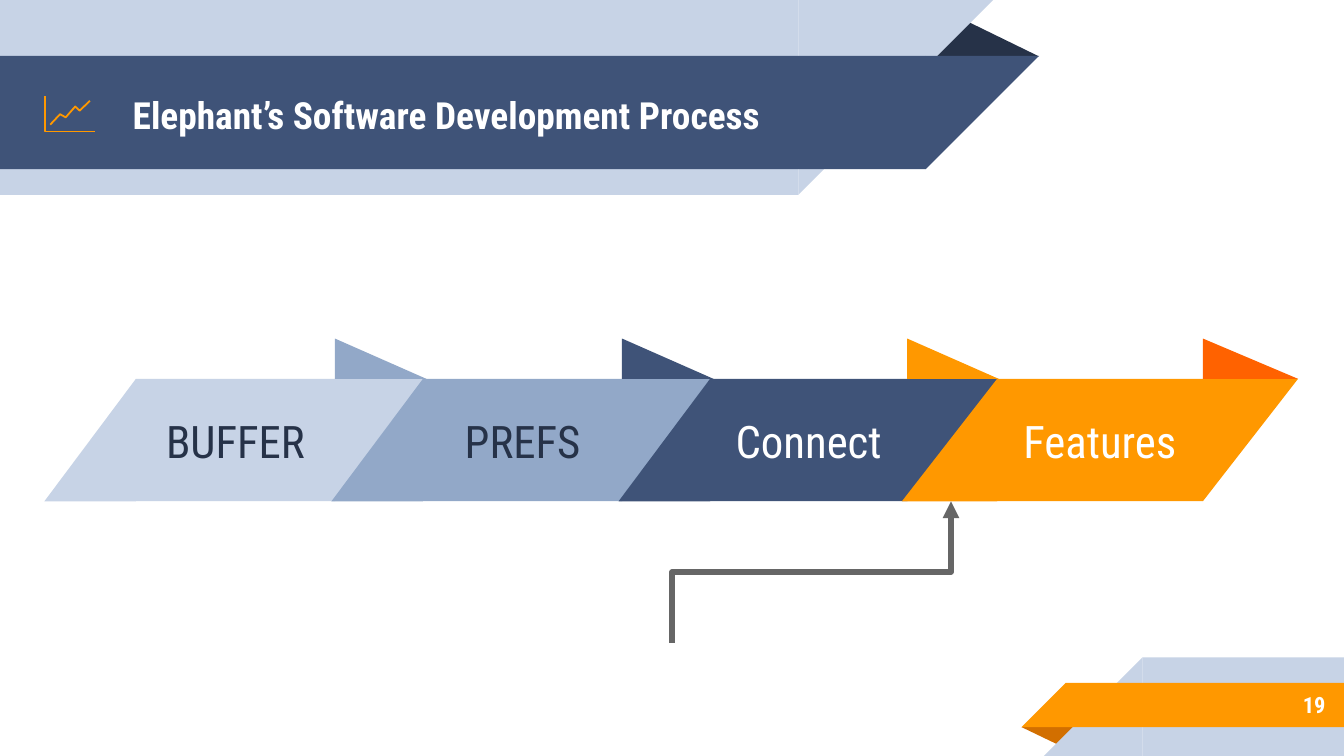
from dataclasses import dataclass
from typing import Any

from lxml.etree import SubElement
from pptx import Presentation
from pptx.dml.color import RGBColor
from pptx.enum.shapes import MSO_CONNECTOR, MSO_SHAPE
from pptx.enum.text import MSO_ANCHOR, PP_ALIGN
from pptx.oxml.ns import qn
from pptx.util import Pt

FONT = "Roboto Condensed"
PALE, BLUE, NAVY, INK = "C7D3E6", "92A8C8", "3F5378", "263248"
ORANGE, RUST, FLAME = "FF9800", "D26F00", "FF6200"
WHITE, GREY = "FFFFFF", "666666"
BAND_TOP, BAND_HEIGHT, FLAG_HEIGHT = 203, 65.6, 21.6
FIRST_LEFT, PITCH = 72.8, 153.8


@dataclass(frozen=True)
class Frame:
    left: float
    top: float
    width: float
    height: float


@dataclass(frozen=True)
class Stage:
    label: str
    fill: str
    ink: str
    flag: str
    width: float
    slant: float


STAGES = [
    Stage("BUFFER", PALE, INK, BLUE, 106.6, 49),
    Stage("PREFS", BLUE, INK, NAVY, 106.6, 49),
    Stage("Connect", NAVY, WHITE, ORANGE, 105.6, 49),
    Stage("Features", ORANGE, WHITE, FLAME, 110.2, 51),
]
ICON_LINES = [
    [(24.2, 51.5), (24.2, 70.5), (50.7, 70.5)],
    [(26.9, 66.8), (32.2, 61.2), (35.2, 62.9), (40.3, 57.1), (42.7, 59.3), (48.2, 54)],
]


def paint(target: Any, color: str) -> None:
    """Give a fill a solid colour."""
    target.solid()
    target.fore_color.rgb = RGBColor.from_string(color)


def add_block(page: Any, kind: Any, frame: Frame, color: str, flip: str = "",
              apex: float | None = None, rotation: float = 0) -> Any:
    """Draw a flat preset shape without outline or shadow."""
    block = page.shapes.add_shape(
        kind, Pt(frame.left), Pt(frame.top), Pt(frame.width), Pt(frame.height))
    block.shadow.inherit = False
    block.line.fill.background()
    paint(block.fill, color)
    block.rotation = rotation
    if apex is not None:
        block.adjustments[0] = apex
    if flip:
        block._element.spPr.find(qn("a:xfrm")).set(flip, "1")
    return block


def write(box: Any, text: str, size: float, color: str, align: Any, bold: bool = False) -> None:
    """Put one middle-anchored line of text into a box."""
    frame = box.text_frame
    frame.word_wrap = True
    frame.vertical_anchor = MSO_ANCHOR.MIDDLE
    frame.margin_left = frame.margin_right = Pt(7.2)
    frame.margin_top = frame.margin_bottom = Pt(7.2)
    para = frame.paragraphs[0]
    para.alignment = align
    span = para.add_run()
    span.text = text
    span.font.name, span.font.size, span.font.bold = FONT, Pt(size), bold
    paint(span.font.fill, color)


def add_label(page: Any, frame: Frame, text: str, size: float, align: Any) -> None:
    """Add a bold white text box."""
    box = page.shapes.add_textbox(
        Pt(frame.left), Pt(frame.top), Pt(frame.width), Pt(frame.height))
    write(box, text, size, WHITE, align, bold=True)


def add_right_ribbon(page: Any, frame: Frame, slant: float, color: str) -> Any:
    """Draw a bar whose right end slants inward to the bottom and return the bar."""
    bar = add_block(page, MSO_SHAPE.RECTANGLE, frame, color)
    add_block(page, MSO_SHAPE.RIGHT_TRIANGLE,
              Frame(frame.left + frame.width, frame.top, slant, frame.height), color, "flipV")
    return bar


def add_left_slant(page: Any, frame: Frame, slant: float, color: str) -> None:
    """Draw the slanted left end of a bar."""
    add_block(page, MSO_SHAPE.RIGHT_TRIANGLE,
              Frame(frame.left - slant, frame.top, slant, frame.height), color, "flipH")


def add_left_ribbon(page: Any, frame: Frame, slant: float, color: str) -> None:
    """Draw a bar with a slanted left end."""
    add_block(page, MSO_SHAPE.RECTANGLE, frame, color)
    add_left_slant(page, frame, slant, color)


def add_stage(page: Any, stage: Stage, left: float) -> None:
    """Draw one process stage with its folded flag."""
    frame = Frame(left, BAND_TOP, stage.width, BAND_HEIGHT)
    bar = add_right_ribbon(page, frame, stage.slant, stage.fill)
    write(bar, stage.label, 24, stage.ink, PP_ALIGN.CENTER)
    add_left_slant(page, frame, stage.slant, stage.fill)
    flag = Frame(left + stage.width, BAND_TOP - FLAG_HEIGHT, stage.slant, FLAG_HEIGHT)
    add_block(page, MSO_SHAPE.ISOSCELES_TRIANGLE, flag, stage.flag, apex=0)


def add_icon_line(page: Any, points: list[tuple[float, float]]) -> None:
    """Draw an open orange line through the points."""
    start, *others = [(Pt(x), Pt(y)) for x, y in points]
    builder = page.shapes.build_freeform(*start)
    builder.add_line_segments(others, close=False)
    trace = builder.convert_to_shape()
    trace.shadow.inherit = False
    trace.fill.background()
    trace.line.width = Pt(0.96)
    paint(trace.line.fill, ORANGE)


def add_elbow_arrow(page: Any, start: tuple[float, float], end: tuple[float, float]) -> None:
    """Draw an elbow arrow that leaves upward, turns right and ends upward."""
    across, rise = end[0] - start[0], start[1] - end[1]
    left = (start[0] + end[0] - rise) / 2
    top = (start[1] + end[1] - across) / 2
    arrow = page.shapes.add_connector(
        MSO_CONNECTOR.ELBOW, Pt(left), Pt(top), Pt(left + rise), Pt(top + across))
    arrow.line.width = Pt(3)
    paint(arrow.line.fill, GREY)
    properties = arrow._element.spPr
    properties.find(qn("a:xfrm")).set("rot", str(270 * 60000))
    SubElement(properties.find(qn("a:ln")), qn("a:tailEnd"), type="triangle")
    SubElement(properties, qn("a:effectLst"))


def main() -> None:
    """Build and save the deck."""
    deck = Presentation()
    deck.slide_width, deck.slide_height = Pt(720), Pt(405)
    page = deck.slides.add_slide(deck.slide_layouts[6])

    add_block(page, MSO_SHAPE.ISOSCELES_TRIANGLE, Frame(495.4, 10, 61.2, 20.2), INK, apex=0.324)
    add_right_ribbon(page, Frame(0, 0, 427.7, 104.4), 104.4, PALE)
    add_right_ribbon(page, Frame(0, 30, 496.1, 60.6), 60.6, NAVY)

    add_block(page, MSO_SHAPE.ISOSCELES_TRIANGLE, Frame(547.2, 389.5, 31, 10.1), RUST,
              apex=0.324, rotation=180)
    add_left_ribbon(page, Frame(612, 352.2, 108, 52.8), 52.8, PALE)
    add_left_ribbon(page, Frame(571, 365.8, 149, 23.8), 23.8, ORANGE)

    add_label(page, Frame(64, 31, 414, 60.5), "Elephant’s Software Development Process",
              20, PP_ALIGN.LEFT)
    add_label(page, Frame(599.8, 365, 117.4, 25.2), "19", 12, PP_ALIGN.RIGHT)

    for index, stage in enumerate(STAGES):
        add_stage(page, stage, FIRST_LEFT + index * PITCH)
    add_elbow_arrow(page, (360, 344.2), (509.5, 268.6))
    for points in ICON_LINES:
        add_icon_line(page, points)

    deck.save("out.pptx")


if __name__ == "__main__":
    main()
